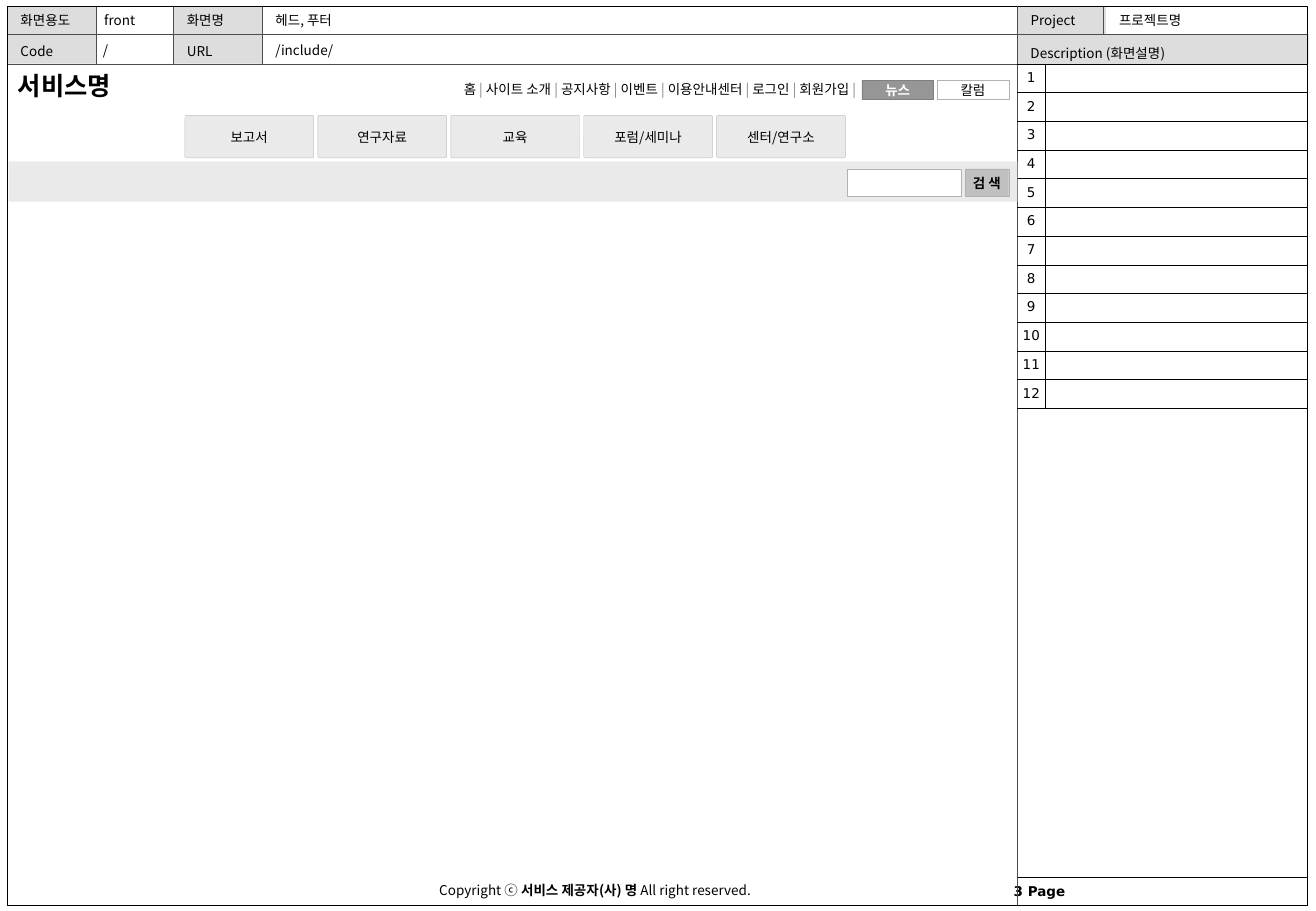
from lxml import etree
from pptx import Presentation
from pptx.dml.color import RGBColor
from pptx.enum.shapes import MSO_CONNECTOR, MSO_SHAPE
from pptx.enum.text import MSO_ANCHOR, PP_ALIGN
from pptx.oxml.ns import qn
from pptx.util import Inches, Pt

STRAIGHT = MSO_CONNECTOR.STRAIGHT
RECTANGLE, ROUNDED = MSO_SHAPE.RECTANGLE, MSO_SHAPE.ROUNDED_RECTANGLE
TOP, MIDDLE = MSO_ANCHOR.TOP, MSO_ANCHOR.MIDDLE
LEFT, CENTER, RIGHT = PP_ALIGN.LEFT, PP_ALIGN.CENTER, PP_ALIGN.RIGHT

BLACK = RGBColor(0x00, 0x00, 0x00)
WHITE = RGBColor(0xFF, 0xFF, 0xFF)
RULE = RGBColor(0x4D, 0x4D, 0x4D)
LABEL = RGBColor(0xDD, 0xDD, 0xDD)
PANEL = RGBColor(0xEA, 0xEA, 0xEA)
SILVER = RGBColor(0xC0, 0xC0, 0xC0)
OUTLINE = RGBColor(0xB2, 0xB2, 0xB2)
GRAY = RGBColor(0x80, 0x80, 0x80)
ACTIVE = RGBColor(0x96, 0x96, 0x96)

KOREAN, NUMERIC = "Noto Sans CJK KR", "DejaVu Sans"
PLAIN_TABLE = "{2D5ABB26-0587-4C30-8999-92F81FD0307C}"
COLUMNS, ROWS = 108.4, 75  # grid of tenths of an inch
HEADER_TOP, HEADER_MIDDLE, HEADER_BOTTOM = 0.55, 2.8, 5.3
SIDE_LEFT, PAGE_RIGHT, PAGE_BOTTOM = 83.8, 107.7, 74.5


def write(frame, paragraphs, size=8, font=KOREAN, color=BLACK, bold=False,
          align=LEFT, anchor=TOP, wrap=False, side=1.0, before=0, spacing=()):
    """Fill a frame; each paragraph is a string or a list of (text, changes)."""
    frame.word_wrap = wrap
    frame.vertical_anchor = anchor
    frame.margin_left = frame.margin_right = Inches(side / 10)
    frame.margin_top = frame.margin_bottom = Inches(0.05)
    for index, content in enumerate(paragraphs):
        para = frame.paragraphs[0] if index == 0 else frame.add_paragraph()
        para.alignment = align
        para.space_before = Pt(before)
        if index < len(spacing):
            para.line_spacing = spacing[index]
        spans = [(content, {})] if isinstance(content, str) else content
        for text, changes in spans:
            span = para.add_run()
            span.text = text
            span.font.size = Pt(size)
            span.font.name = font
            span.font.bold = changes.get("bold", bold)
            span.font.color.rgb = changes.get("color", color)
            latin = span.font._element.find(qn("a:latin"))
            east_asian = etree.Element(qn("a:ea"), typeface=font)
            latin.addnext(east_asian)


class Wireframe:
    def __init__(self):
        self.deck = Presentation()
        self.deck.slide_width = self.grid(COLUMNS)
        self.deck.slide_height = self.grid(ROWS)
        self.page = self.deck.slides.add_slide(self.deck.slide_layouts[6])

    @staticmethod
    def grid(units):
        return Inches(units / 10)

    def place(self, *units):
        return [self.grid(unit) for unit in units]

    def box(self, *area, fill=None, line=None, text=None, corner=None, **style):
        kind = RECTANGLE if corner is None else ROUNDED
        box = self.page.shapes.add_shape(kind, *self.place(*area))
        box.shadow.inherit = False
        if corner is not None:
            box.adjustments[0] = corner
        if fill is None:
            box.fill.background()
        else:
            box.fill.solid()
            box.fill.fore_color.rgb = fill
        if line is None:
            box.line.fill.background()
        else:
            box.line.color.rgb = line
            box.line.width = Pt(0.25)
        if text:
            write(box.text_frame, [text], align=CENTER, anchor=MIDDLE, **style)

    def text(self, *area, paragraphs, **style):
        box = self.page.shapes.add_textbox(*self.place(*area))
        write(box.text_frame, paragraphs, **style)

    def rule(self, *ends):
        rule = self.page.shapes.add_connector(STRAIGHT, *self.place(*ends))
        rule.line.color.rgb = RULE
        rule.line.width = Pt(0.25)
        etree.SubElement(rule._element.spPr, qn("a:effectLst"))

    def label(self, left, paragraphs):
        self.box(left, HEADER_TOP, 7.3, 4.7, fill=LABEL)
        self.text(left + 0.1, 0.5, 7.2, 2.4, paragraphs=paragraphs,
                  before=2, spacing=(1.0, 1.7))
        for x in (left, left + 7.3):
            self.rule(x, HEADER_TOP, x, HEADER_BOTTOM)

    def numbered_table(self, left, top, widths, height, count):
        area = self.place(left, top, sum(widths), height)
        table = self.page.shapes.add_table(count, len(widths), *area).table
        table.first_row = table.horz_banding = False
        table._tbl.tblPr.find(qn("a:tableStyleId")).text = PLAIN_TABLE
        for column, width in zip(table.columns, widths):
            column.width = self.grid(width)
        for number, row in enumerate(table.rows, 1):
            row.height = self.grid(height / count)
            number_cell, note_cell = row.cells
            write(number_cell.text_frame, [str(number)], font=NUMERIC,
                  align=CENTER, wrap=True, before=2)
            end = etree.SubElement(note_cell.text_frame.paragraphs[0]._p,
                                   qn("a:endParaRPr"))
            end.set("sz", "800")
            self.finish_cell(number_cell, ("lnR", "lnT", "lnB"))
            self.finish_cell(note_cell, ("lnL", "lnR", "lnT", "lnB"))

    def finish_cell(self, cell, sides):
        cell.margin_left = cell.margin_right = self.grid(0.4)
        cell.margin_top = cell.margin_bottom = self.grid(0.5)
        properties = cell._tc.get_or_add_tcPr()
        for side in sides:
            border = etree.SubElement(properties, qn(f"a:{side}"), w=str(Pt(0.11)))
            solid = etree.SubElement(border, qn("a:solidFill"))
            etree.SubElement(solid, qn("a:srgbClr"), val=str(BLACK))
        cell.fill.background()


def main():
    frame = Wireframe()

    # Project and description panel
    frame.box(SIDE_LEFT, HEADER_MIDDLE, 24, 2.5, fill=LABEL)
    frame.box(SIDE_LEFT, 0.5, 7.3, 2.3, fill=LABEL)
    frame.text(83.9, 0.5, 7.2, 2.4, paragraphs=["Project"], before=2)
    frame.text(91.2, 0.5, 9, 2.4, paragraphs=["프로젝트명"], before=2)
    frame.text(83.9, 2.8, 18, 2.4, paragraphs=["Description (화면설명)"],
               anchor=MIDDLE, before=2, spacing=(1.6,))
    frame.rule(90.9, 0.5, 90.9, HEADER_MIDDLE)

    # Header labels and values
    frame.label(0.6, ["화면용도", "Code"])
    frame.label(14.3, ["화면명", "URL"])
    frame.text(7.6, 0.5, 9, 2.3, paragraphs=["front"])
    frame.text(7.5, 3, 9, 2.3, paragraphs=["/"])
    frame.text(21.7, 0.2, 27.4, 2.9, paragraphs=["헤드, 푸터"],
               anchor=MIDDLE, wrap=True)
    frame.text(21.7, 3, 9, 2.3, paragraphs=["/include/"])

    # Page frame and rules
    frame.text(82.6, 72.2, 10.6, 2.5, paragraphs=["3 Page"], font=NUMERIC,
               bold=True, side=0.9)
    frame.box(SIDE_LEFT, 72.2, 23.9, 2.3, line=BLACK)
    frame.box(0.6, 0.5, 107.1, 74, line=BLACK)
    frame.rule(SIDE_LEFT, 0.5, SIDE_LEFT, PAGE_BOTTOM)
    for y in (HEADER_MIDDLE, HEADER_BOTTOM):
        frame.rule(0.7, y, PAGE_RIGHT, y)

    # Description rows
    frame.numbered_table(SIDE_LEFT, 5.25, (2.3, 21.6), 28.35, 12)

    # Service name and site links
    frame.text(0.5, 5.3, 14, 3.5, paragraphs=["서비스명"], size=15, bold=True)
    links = ["홈", "사이트 소개", "공지사항", "이벤트", "이용안내센터",
             "로그인", "회원가입"]
    spans = []
    for link in links:
        divider = "|" if link == links[-1] else "| "
        spans += [(link + " ", {}), (divider, {"color": GRAY})]
    frame.text(26.9, 6.2, 44.6, 2.4, paragraphs=[spans], align=RIGHT, wrap=True)
    frame.box(71, 6.6, 5.9, 1.6, fill=ACTIVE, line=GRAY, text="뉴스",
              color=WHITE, bold=True)
    frame.box(77.2, 6.6, 5.9, 1.6, line=OUTLINE, text="칼럼")

    # Main menu
    menu = ["보고서", "연구자료", "교육", "포럼/세미나", "센터/연구소"]
    for index, name in enumerate(menu):
        frame.box(15.24 + 10.95 * index, 9.5, 10.6, 3.5, fill=PANEL,
                  line=SILVER, text=name, corner=0.03)

    # Search bar
    frame.box(0.7, 13.3, 83.1, 3.3, fill=PANEL)
    frame.box(69.8, 13.9, 9.4, 2.3, fill=WHITE, line=OUTLINE)
    frame.box(79.5, 13.9, 3.6, 2.3, fill=SILVER, line=OUTLINE, text="검 색",
              bold=True)

    # Footer
    frame.text(35.2, 72.1, 29.6, 2.4, paragraphs=[[
        ("Copyright ⓒ ", {}),
        ("서비스 제공자(사) 명 ", {"bold": True}),
        ("All right reserved.", {}),
    ]])

    frame.deck.save("out.pptx")


if __name__ == "__main__":
    main()
